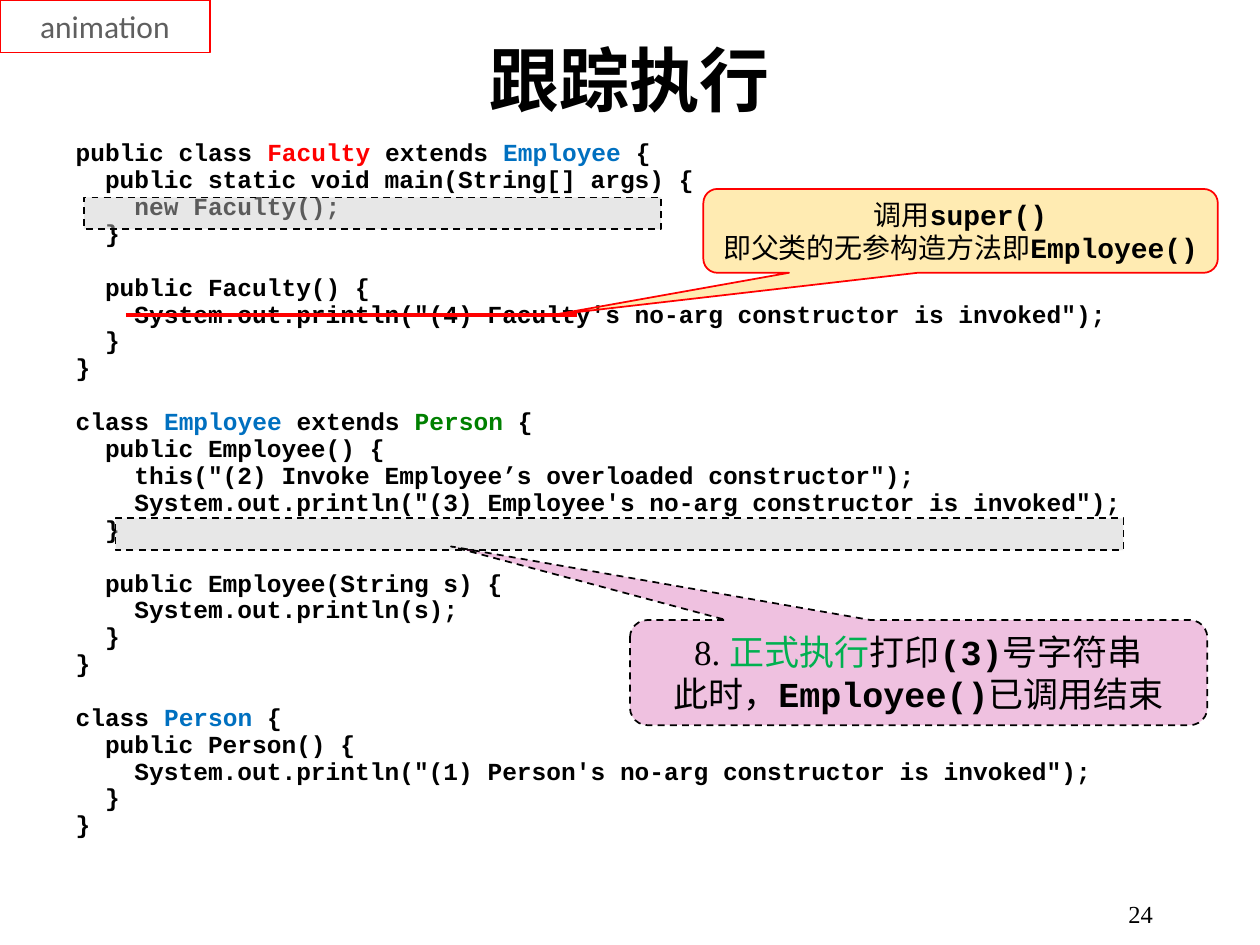
from lxml.etree import SubElement
from pptx import Presentation
from pptx.dml.color import RGBColor
from pptx.enum.dml import MSO_LINE
from pptx.enum.shapes import MSO_CONNECTOR, MSO_SHAPE
from pptx.enum.text import MSO_ANCHOR as Anchor, MSO_AUTO_SIZE as AutoSize, PP_ALIGN as Align
from pptx.oxml.ns import qn
from pptx.util import Cm, Pt

CODE_FONT, TEXT_FONT, CJK_FONT = "Courier New", "Times New Roman", "Noto Sans CJK SC"
BLACK, RED, BLUE, GREEN = "000000", "FF0000", "0070C0", "008000"

# A string is a plain line, a list holds (text, colour) runs, "" is an empty line.
CODE = [
    [("public class ", BLACK), ("Faculty", RED), (" extends ", BLACK), ("Employee", BLUE), (" {", BLACK)],
    "  public static void main(String[] args) {",
    "    new Faculty();",
    "  }",
    "",
    "  public Faculty() {",
    "    System.out.println(\"(4) Faculty's no-arg constructor is invoked\");",
    "  }",
    "}",
    "",
    [("class ", BLACK), ("Employee", BLUE), (" extends ", BLACK), ("Person", GREEN), (" {", BLACK)],
    "  public Employee() {",
    '    this("(2) Invoke Employee’s overloaded constructor");',
    "    System.out.println(\"(3) Employee's no-arg constructor is invoked\");",
    "  }",
    "",
    "  public Employee(String s) {",
    "    System.out.println(s);",
    "  }",
    "}",
    "",
    [("class ", BLACK), ("Person", BLUE), (" {", BLACK)],
    "  public Person() {",
    "    System.out.println(\"(1) Person's no-arg constructor is invoked\");",
    "  }",
    "}",
]


def rgb(value):
    return RGBColor.from_string(value)


def in_cm(box):
    return [Cm(length) for length in box]


def place(shape, box):
    shape.left, shape.top, shape.width, shape.height = in_cm(box)


def set_font(font, name, size, color=BLACK, bold=False):
    font.name, font.size, font.bold = name, Pt(size), bold
    font.color.rgb = rgb(color)


def add_run(paragraph, text, name, size, color=BLACK, bold=False):
    run = paragraph.add_run()
    run.text = text
    set_font(run.font, name, size, color, bold)
    if not text.isascii():
        SubElement(run.font._element, qn("a:ea"), typeface=CJK_FONT)


def add_outlined(shapes, kind, box, line_color, fill=None, opacity=100, dashed=False):
    shape = shapes.add_shape(kind, *in_cm(box))
    shape.shadow.inherit = False
    shape.line.color.rgb, shape.line.width = rgb(line_color), Pt(1)
    if dashed:
        shape.line.dash_style = MSO_LINE.DASH
    if fill:
        shape.fill.solid()
        shape.fill.fore_color.rgb = rgb(fill)
        color = shape.fill._xPr.find(qn("a:solidFill")).find(qn("a:srgbClr"))
        SubElement(color, qn("a:alpha"), val=str(opacity * 1000))
    else:
        shape.fill.background()
    return shape


def add_title(slide, box):
    title = slide.shapes.title
    place(title, box)
    title.text_frame.vertical_anchor = Anchor.MIDDLE
    paragraph = title.text_frame.paragraphs[0]
    paragraph.alignment = Align.CENTER
    add_run(paragraph, "跟踪执行", CODE_FONT, 40, bold=True)


def add_code(slide, box, gap=6.9, pitch=15.6):
    """Fill the body placeholder; an empty line becomes extra space before the next."""
    body = slide.placeholders[1]
    place(body, box)
    frame = body.text_frame
    frame.auto_size, frame.vertical_anchor = AutoSize.NONE, Anchor.TOP
    for index, line in enumerate(CODE):
        if not line:
            continue
        paragraph = frame.add_paragraph() if index else frame.paragraphs[0]
        paragraph.line_spacing = 0.5
        after_empty = index and not CODE[index - 1]
        paragraph.space_before = Pt((gap + pitch if after_empty else gap) if index else 0)
        properties = paragraph._p.get_or_add_pPr()
        properties.set("marL", "0")
        properties.set("indent", "0")
        SubElement(properties, qn("a:buNone"))
        set_font(paragraph.font, CODE_FONT, 14, bold=True)
        for text, color in [(line, BLACK)] if isinstance(line, str) else line:
            add_run(paragraph, text, CODE_FONT, 14, color, bold=True)


def add_page_number(slide, box):
    frame = slide.shapes.add_textbox(*in_cm(box)).text_frame
    frame.word_wrap, frame.vertical_anchor = True, Anchor.MIDDLE
    paragraph = frame.paragraphs[0]
    paragraph.alignment = Align.RIGHT
    add_run(paragraph, "24", TEXT_FONT, 14)


def add_tag(slide, box):
    tag = add_outlined(slide.shapes, MSO_SHAPE.RECTANGLE, box, RED)
    paragraph = tag.text_frame.paragraphs[0]
    paragraph.alignment = Align.CENTER
    add_run(paragraph, "animation", "Calibri", 18, "5F5F5F")


def add_highlight(slide, box):
    add_outlined(slide.shapes, MSO_SHAPE.RECTANGLE, box, BLACK, "CBCBCB", 45, dashed=True)


def add_callout(shapes, box, pointer, lines, size, line_color, fill, dashed=False):
    """Lines hold (text, font, colour) runs; code runs are bold."""
    callout = add_outlined(shapes, MSO_SHAPE.ROUNDED_RECTANGULAR_CALLOUT, box,
                           line_color, fill, 30, dashed)
    callout.adjustments[0], callout.adjustments[1] = pointer
    frame = callout.text_frame
    frame.word_wrap, frame.vertical_anchor = True, Anchor.MIDDLE
    frame.margin_left = frame.margin_right = Cm(0)
    for index, runs in enumerate(lines):
        paragraph = frame.add_paragraph() if index else frame.paragraphs[0]
        paragraph.alignment = Align.CENTER
        for text, name, color in runs:
            add_run(paragraph, text, name, size, color, bold=name == CODE_FONT)


def add_super_call(slide, box):
    """Callout on the implicit super() call, with the red line it points at."""
    left, top, width, height = box
    group = slide.shapes.add_group_shape()
    add_callout(group.shapes, box, (-0.79, 1.0), [
        [("调用", CJK_FONT, BLACK), ("super()", CODE_FONT, BLACK)],
        [("即父类的无参构造方法即", CJK_FONT, BLACK), ("Employee()", CODE_FONT, BLACK)],
    ], 16, RED, "FFC000")
    line_top = top + 1.5 * height
    line = group.shapes.add_connector(
        MSO_CONNECTOR.STRAIGHT, *in_cm((left - 11.64, line_top, left - 2.54, line_top)))
    line.line.color.rgb, line.line.width = rgb(RED), Pt(2.5)
    SubElement(line._element.spPr, qn("a:effectLst"))


def main():
    presentation = Presentation()
    presentation.slide_width, presentation.slide_height = Cm(25.4), Cm(19.05)
    slide = presentation.slides.add_slide(presentation.slide_layouts[1])
    add_title(slide, (1.9, 0.08, 21.59, 3))
    add_code(slide, (1.27, 2.9, 22.86, 15.52))
    add_page_number(slide, (18.21, 17.78, 5.28, 1.27))
    add_tag(slide, (0, 0, 4.23, 1.06))
    add_highlight(slide, (1.69, 3.98, 11.64, 0.64))
    add_highlight(slide, (2.33, 10.45, 20.32, 0.64))
    add_callout(slide.shapes, (12.7, 12.5, 11.64, 2.12), (-0.81, -1.2), [
        [("8. ", TEXT_FONT, BLACK), ("正式执行", TEXT_FONT, "00B050"), ("打印", TEXT_FONT, BLACK),
         ("(3)", CODE_FONT, BLACK), ("号字符串", TEXT_FONT, BLACK)],
        [("此时，", TEXT_FONT, BLACK), ("Employee()", CODE_FONT, BLACK),
         ("已调用结束", CJK_FONT, BLACK)],
    ], 20, BLACK, "CC3399", dashed=True)
    add_super_call(slide, (14.18, 3.81, 10.37, 1.69))
    presentation.save("out.pptx")


if __name__ == "__main__":
    main()
